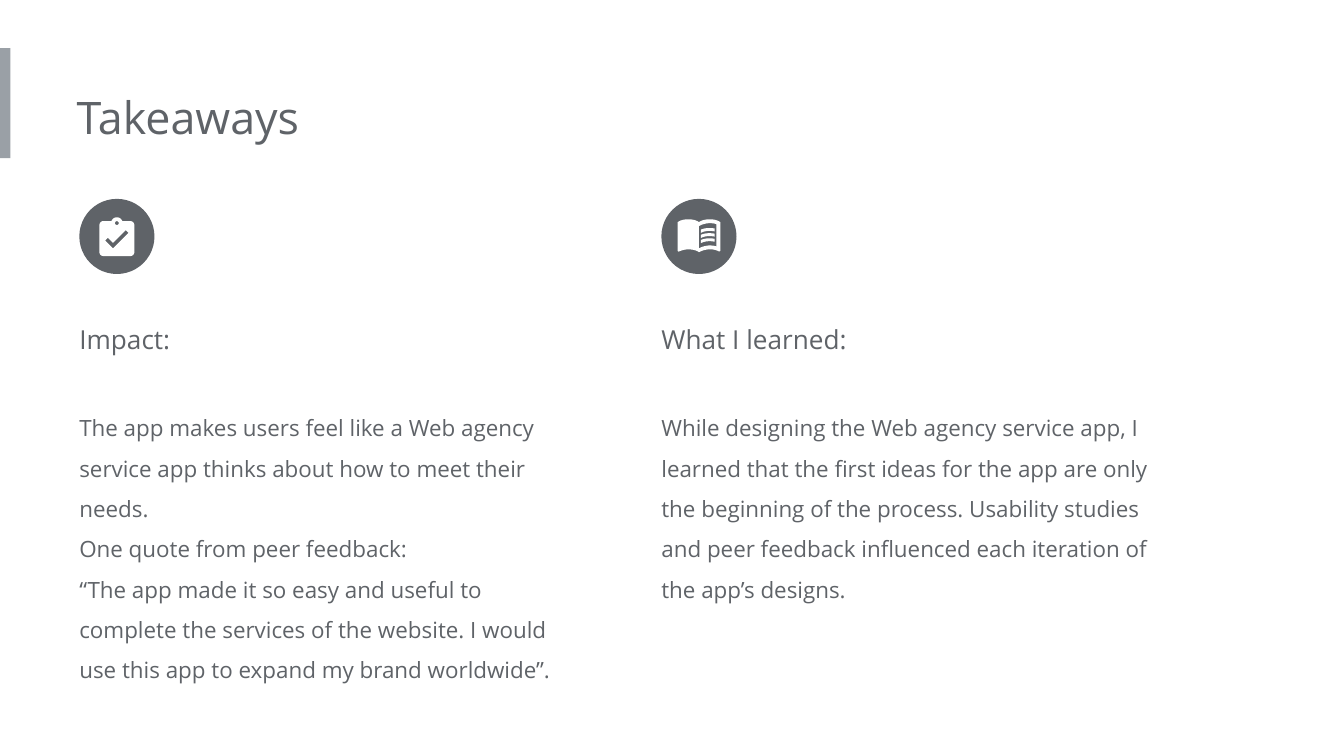
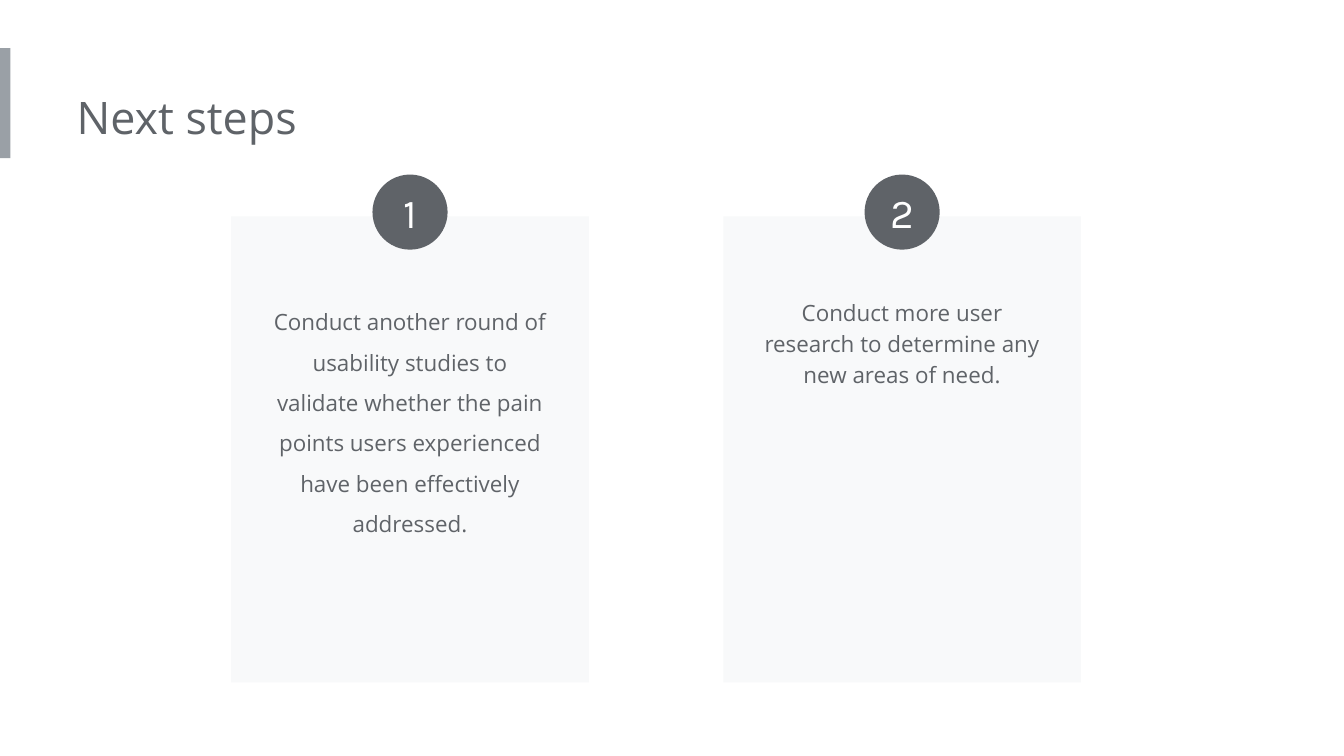
from dataclasses import dataclass

from pptx import Presentation
from pptx.dml.color import RGBColor
from pptx.enum.shapes import MSO_SHAPE
from pptx.enum.text import MSO_ANCHOR, MSO_AUTO_SIZE, PP_ALIGN
from pptx.util import Cm, Pt

RECT, OVAL = MSO_SHAPE.RECTANGLE, MSO_SHAPE.OVAL
LEFT, CENTER = PP_ALIGN.LEFT, PP_ALIGN.CENTER
MIDDLE = MSO_ANCHOR.MIDDLE
GROW = MSO_AUTO_SIZE.SHAPE_TO_FIT_TEXT


@dataclass(frozen=True)
class Theme:
    """Colours, fonts and type sizes of the deck."""
    ink: RGBColor = RGBColor(0x5F, 0x63, 0x68)
    accent: RGBColor = RGBColor(0x9A, 0xA0, 0xA6)
    card: RGBColor = RGBColor(0xF8, 0xF9, 0xFA)
    white: RGBColor = RGBColor(0xFF, 0xFF, 0xFF)
    font: str = "Open Sans"
    number_font: str = "Karla"
    title: int = 24
    number: int = 22
    heading: int = 14
    body: int = 12


THEME = Theme()
BADGE = 1.42
PAD = 0.25
ICON_SIZE = 0.88

CLIPBOARD = [
    [(19, 3), (14.82, 3), (14.4, 1.84, 13.3, 1, 12, 1),
     (10.7, 1, 9.6, 1.84, 9.18, 3), (5, 3), (3.9, 3, 3, 3.9, 3, 5),
     (3, 19), (3, 20.1, 3.9, 21, 5, 21), (19, 21),
     (20.1, 21, 21, 20.1, 21, 19), (21, 5), (21, 3.9, 20.1, 3, 19, 3)],
    [(12, 3), (12.55, 3, 13, 3.45, 13, 4), (13, 4.55, 12.55, 5, 12, 5),
     (11.45, 5, 11, 4.55, 11, 4), (11, 3.45, 11.45, 3, 12, 3)],
    [(10, 17), (6, 13), (7.41, 11.59), (10, 14.17), (16.59, 7.58), (18, 9)],
]
BOOK = [
    [(21, 5), (19.89, 4.65, 18.67, 4.5, 17.5, 4.5),
     (15.55, 4.5, 13.45, 4.9, 12, 6), (10.55, 4.9, 8.45, 4.5, 6.5, 4.5),
     (4.55, 4.5, 2.45, 4.9, 1, 6), (1, 20.65),
     (1, 20.9, 1.25, 21.15, 1.5, 21.15), (1.75, 21.1),
     (3.1, 20.45, 5.05, 20, 6.5, 20), (8.45, 20, 10.55, 20.4, 12, 21.5),
     (13.35, 20.65, 15.8, 20, 17.5, 20),
     (19.15, 20, 20.85, 20.3, 22.25, 21.05), (22.5, 21.1),
     (22.75, 21.1, 23, 20.85, 23, 20.6), (23, 6),
     (22.4, 5.55, 21.75, 5.25, 21, 5)],
    [(21, 18.5), (19.9, 18.15, 18.7, 18, 17.5, 18),
     (15.8, 18, 13.35, 18.65, 12, 19.5), (12, 8),
     (13.35, 7.15, 15.8, 6.5, 17.5, 6.5), (18.7, 6.5, 19.9, 6.65, 21, 7)],
]
BOOK_LINES = [
    [[(17.5, 10.5 + dy), (18.38, 10.5 + dy, 19.23, 10.59 + dy, 20, 10.76 + dy),
      (20, 9.24 + dy), (19.21, 9.09 + dy, 18.36, 9 + dy, 17.5, 9 + dy),
      (15.8, 9 + dy, 14.26, 9.29 + dy, 13, 9.83 + dy), (13, 11.49 + dy),
      (14.13, 10.85 + dy, 15.7, 10.5 + dy, 17.5, 10.5 + dy)]]
    for dy in (0, 2.66, 5.32)
]


def paint(shape, color):
    """Give a shape a plain fill without line or shadow."""
    shape.shadow.inherit = False
    shape.fill.solid()
    shape.fill.fore_color.rgb = color
    shape.line.fill.background()


def add_block(shapes, kind, x, y, w, h, color):
    """Add a filled preset shape."""
    shape = shapes.add_shape(kind, Cm(x), Cm(y), Cm(w), Cm(h))
    paint(shape, color)
    return shape


def style(p, size, color=THEME.ink, font=THEME.font, align=LEFT, spacing=1.0):
    """Format a paragraph and its runs."""
    p.alignment = align
    p.line_spacing = spacing
    for r in p.runs:
        r.font.size = Pt(size)
        r.font.name = font
        r.font.color.rgb = color


def add_text(s, x, y, w, h, text, left_inset=0):
    """Add a wrapping text box and return its paragraphs."""
    tf = s.shapes.add_textbox(Cm(x), Cm(y), Cm(w), Cm(h)).text_frame
    tf.word_wrap = True
    tf.auto_size = GROW
    tf.margin_left = Cm(left_inset)
    tf.margin_top = tf.margin_right = tf.margin_bottom = Cm(PAD)
    tf.text = text
    return tf.paragraphs


def flatten(contour, steps=6):
    """Turn points and cubic curves into a list of points."""
    points = []
    for node in contour:
        if len(node) == 2:
            points.append(node)
            continue
        ends = [points[-1], node[:2], node[2:4], node[4:]]
        for i in range(1, steps + 1):
            t = i / steps
            weights = ((1 - t) ** 3, 3 * t * (1 - t) ** 2, 3 * t * t * (1 - t), t ** 3)
            points.append(tuple(sum(k * e[axis] for k, e in zip(weights, ends))
                                for axis in (0, 1)))
    return points


def add_outline(shapes, x, y, contours):
    """Draw one white icon outline on a 24-unit grid."""
    builder = None
    for contour in contours:
        points = [(Cm(x + px * ICON_SIZE / 24), Cm(y + py * ICON_SIZE / 24))
                  for px, py in flatten(contour)]
        if builder is None:
            builder = shapes.build_freeform(*points[0])
        else:
            builder.move_to(*points[0])
        builder.add_line_segments(points[1:], close=True)
    paint(builder.convert_to_shape(), THEME.white)


def add_icon(s, x, y, icon, drop):
    """Add a round badge with a grouped icon."""
    shapes = s.shapes.add_group_shape().shapes
    add_block(shapes, OVAL, x, y, BADGE, BADGE, THEME.ink)
    for contours in icon:
        add_outline(shapes, x + (BADGE - ICON_SIZE) / 2, y + drop, contours)


def add_number(s, x, y, number):
    """Add a round badge with a number."""
    tf = add_block(s.shapes, OVAL, x, y, BADGE, BADGE, THEME.ink).text_frame
    tf.margin_left = tf.margin_top = tf.margin_right = tf.margin_bottom = 0
    tf.vertical_anchor = MIDDLE
    tf.text = str(number)
    style(tf.paragraphs[0], THEME.number, THEME.white, THEME.number_font, CENTER)


def add_slide(prs, title):
    """Add a slide with the side bar and title."""
    s = prs.slides.add_slide(prs.slide_layouts[6])
    add_block(s.shapes, RECT, 0, 0.91, 0.2, 2.08, THEME.accent)
    style(add_text(s, 1.45, 1.45, 13.69, 1.55, title)[0], THEME.title)
    return s


def add_column(s, x, h, icon, drop, heading, *body):
    """Add an icon with a heading and paragraphs below."""
    paragraphs = add_text(s, x, 5.56, 9.58, h, "\n".join((heading, *body)))
    style(paragraphs[0], THEME.heading, spacing=1.5)
    for p in paragraphs[1:]:
        style(p, THEME.body, spacing=1.5)
    paragraphs[1].space_before = Pt(25)
    add_icon(s, x, 3.76, icon, drop)


def add_card(s, x, number, text, h, spacing):
    """Add a numbered card with centred text."""
    width, inset = 6.76, 0.53
    add_block(s.shapes, RECT, x, 4.09, width, 8.81, THEME.card)
    p = add_text(s, x + inset, 5.33, width - 2 * inset, h, text, PAD)[0]
    style(p, THEME.body, align=CENTER, spacing=spacing)
    add_number(s, x + (width - BADGE) / 2, 3.3, number)


def add_takeaways(prs):
    """Build the takeaways slide."""
    s = add_slide(prs, "Takeaways")
    add_column(
        s, 1.5, 7.69, [CLIPBOARD], 0.31, "Impact:",
        "The app makes users feel like a Web agency service app thinks about "
        "how to meet their needs.",
        "One quote from peer feedback:",
        "“The app made it so easy and useful to complete the services of the "
        "website. I would use this app to expand my brand worldwide”.")
    add_column(
        s, 12.5, 6.15, [BOOK, *BOOK_LINES], 0.22, "What I learned:",
        "While designing the Web agency service app, I learned that the first "
        "ideas for the app are only the beginning of the process. Usability "
        "studies and peer feedback influenced each iteration of the app’s designs.")


def add_next_steps(prs):
    """Build the next steps slide."""
    s = add_slide(prs, "Next steps")
    steps = [
        ("Conduct another round of usability studies to validate whether the "
         "pain points users experienced have been effectively addressed.", 5.13, 1.5),
        ("Conduct more user research to determine any new areas of need.", 2.26, 1.15),
    ]
    for i, (text, h, spacing) in enumerate(steps):
        add_card(s, 4.37 + i * 9.3, i + 1, text, h, spacing)


def main():
    """Build and save the deck."""
    prs = Presentation()
    prs.slide_width, prs.slide_height = Cm(25.4), Cm(14.29)
    add_takeaways(prs)
    add_next_steps(prs)
    prs.save("out.pptx")


if __name__ == "__main__":
    main()
